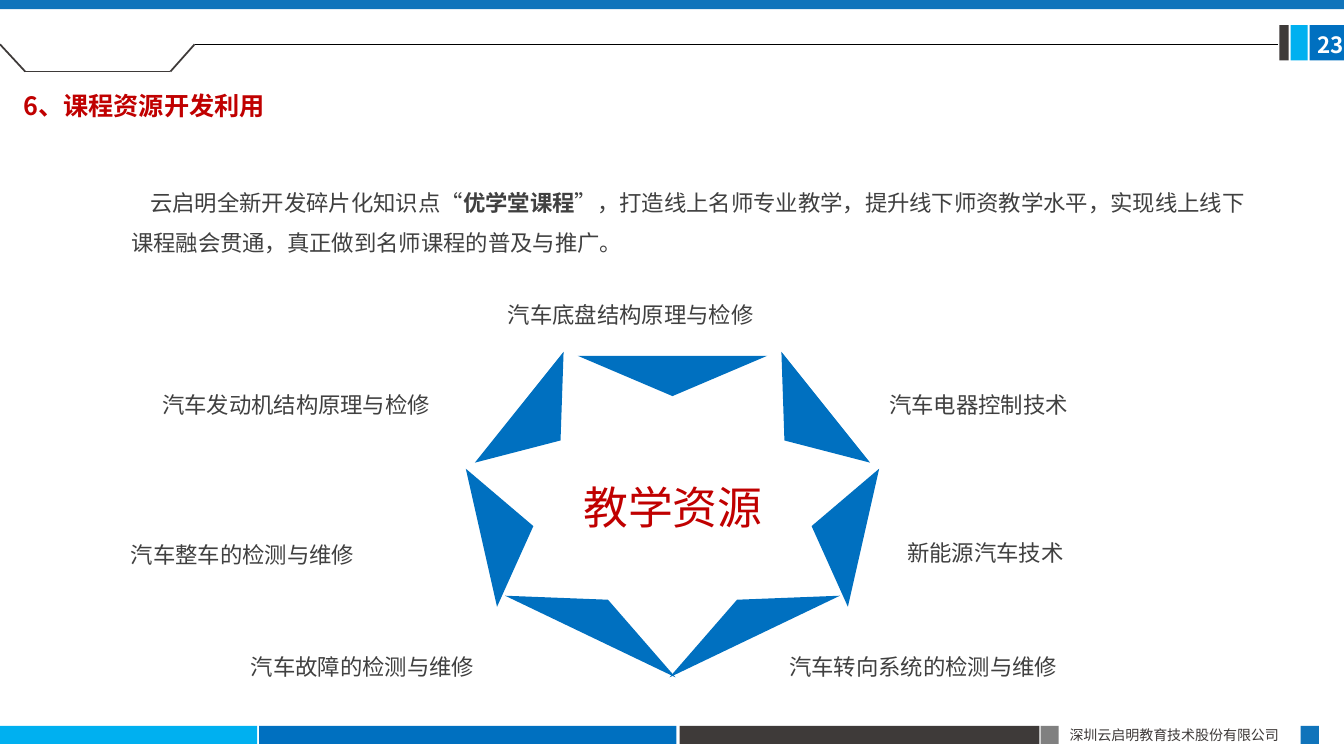
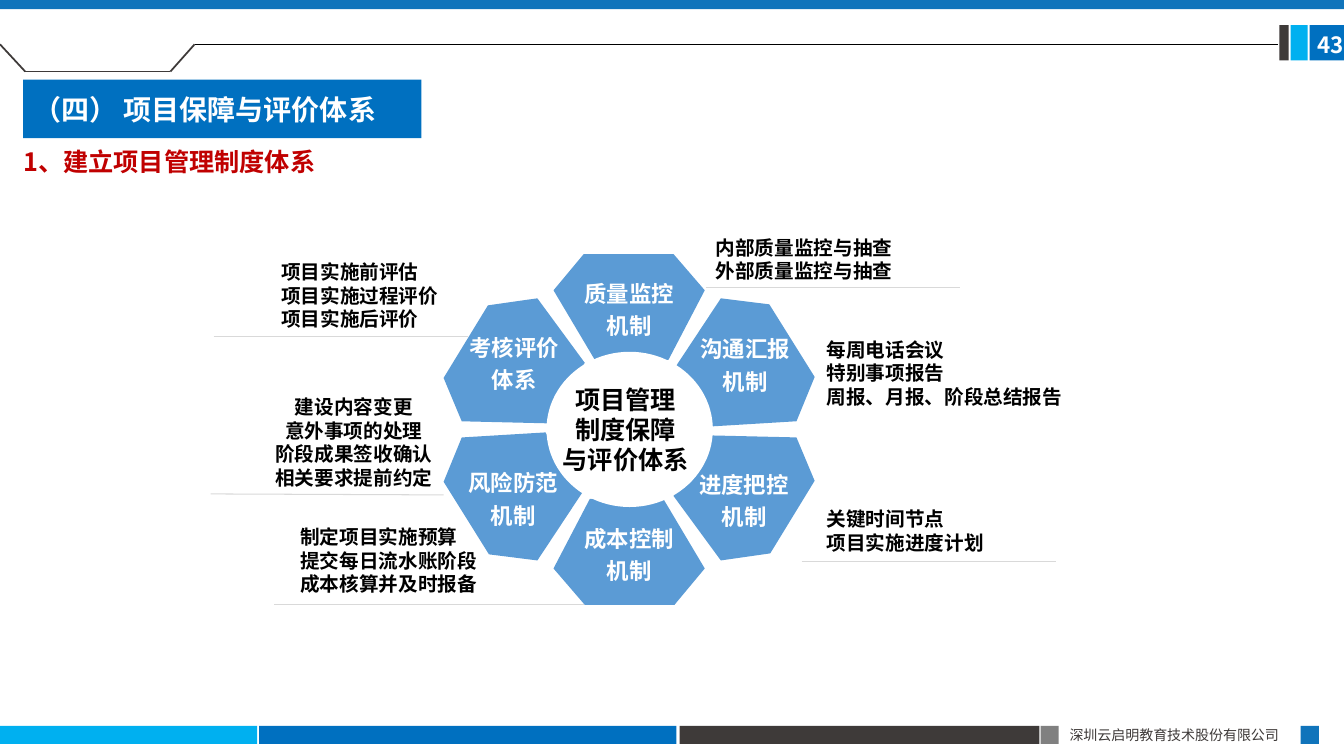
from dataclasses import dataclass
from itertools import pairwise

from lxml.etree import SubElement
from pptx import Presentation
from pptx.dml.color import RGBColor
from pptx.enum.shapes import MSO_CONNECTOR, MSO_SHAPE
from pptx.enum.text import MSO_ANCHOR, MSO_AUTO_SIZE, PP_ALIGN
from pptx.oxml.ns import qn
from pptx.presentation import Presentation as Deck
from pptx.shapes.autoshape import Shape
from pptx.slide import Slide
from pptx.text.text import TextFrame
from pptx.util import Inches, Pt

COLORS = {
    "cyan": "00B0F0", "blue": "0070C0", "band": "1074BB", "petal": "5B9BD5",
    "dark": "3E3A39", "gray": "808080", "rule": "D9D9D9", "text": "404040",
    "red": "C00000", "black": "000000", "white": "FFFFFF",
}
FONT = "Noto Sans CJK SC"
LEADING = 1.2  # height of a single line, in font sizes

Point = tuple[float, float]
Box = tuple[float, float, float, float]
Run = tuple[str, bool]  # text, bold


@dataclass(frozen=True)
class Style:
    size: float
    color: str
    bold: bool = False
    space: float = 1.0
    align: PP_ALIGN = PP_ALIGN.LEFT
    anchor: MSO_ANCHOR = MSO_ANCHOR.TOP
    font: str = FONT
    inset: Point = (0.1, 0.05)


@dataclass(frozen=True)
class Bar:
    box: Box
    color: str


@dataclass(frozen=True)
class Label:
    left: float
    top: float
    text: str


@dataclass(frozen=True)
class Petal:
    text: str
    points: list[Point]


@dataclass(frozen=True)
class Note:
    box: Box
    text: str
    align: PP_ALIGN = PP_ALIGN.LEFT


TITLE = Style(18, "red", True)
BODY = Style(16, "text", space=1.5)
LABEL = Style(16, "text", space=1.3)
FOOTER = Style(10, "dark")
PAGE = Style(16, "white", True, align=PP_ALIGN.RIGHT, inset=(0, 0.05))
HUB = Style(32, "red", align=PP_ALIGN.CENTER, anchor=MSO_ANCHOR.MIDDLE, inset=(0, 0))
BANNER = Style(20, "white", True, anchor=MSO_ANCHOR.MIDDLE, font="Calibri")
PETAL = Style(16, "white", True, space=1.2, align=PP_ALIGN.CENTER, anchor=MSO_ANCHOR.MIDDLE)
CORE = Style(18, "black", True, align=PP_ALIGN.CENTER)

# Frame shared by all slides
BARS = [
    Bar((0, 7.2, 2.55, 0.18), "cyan"),
    Bar((2.57, 7.2, 4.14, 0.18), "blue"),
    Bar((6.74, 7.2, 3.57, 0.18), "dark"),
    Bar((10.32, 7.2, 0.18, 0.18), "gray"),
    Bar((12.9, 7.2, 0.18, 0.18), "band"),
    Bar((12.99, 0.25, 0.34, 0.35), "blue"),
    Bar((12.8, 0.25, 0.17, 0.35), "cyan"),
    Bar((12.69, 0.25, 0.09, 0.35), "dark"),
    Bar((0, 0, 13.33, 0.09), "band"),
]
TAB = [(0, 0.44), (0.25, 0.71), (1.69, 0.71), (1.93, 0.44)]

# Ring of seven triangles: the top one, and the right half to be mirrored
TOP = [(5.73, 3.53), (7.61, 3.53), (6.67, 3.93)]
RIGHT = [
    [(7.75, 3.49), (8.63, 4.59), (7.78, 4.37)],
    [(8.72, 4.65), (8.41, 6.02), (8.05, 5.22)],
    [(8.33, 5.91), (6.64, 6.72), (7.31, 5.95)],
]
AXIS = 6.67
LABELS = [
    Label(4.94, 2.86, "汽车底盘结构原理与检修"),
    Label(8.72, 3.75, "汽车电器控制技术"),
    Label(8.9, 5.22, "新能源汽车技术"),
    Label(7.73, 6.35, "汽车转向系统的检测与维修"),
    Label(2.39, 6.35, "汽车故障的检测与维修"),
    Label(1.2, 5.24, "汽车整车的检测与维修"),
    Label(1.51, 3.75, "汽车发动机结构原理与检修"),
]

# Flower of six petals: three outlines, each used again after a half turn
CENTER = (6.24, 4.26)
NORTH = [(5.79, 2.52), (6.68, 2.52), (6.99, 2.88), (6.63, 3.57), (5.9, 3.57), (5.49, 2.88)]
EAST = [(7.15, 2.96), (7.63, 3.02), (8.08, 3.74), (7.9, 4.18), (7.07, 4.23), (6.7, 3.64)]
SOUTH = [(7.05, 4.32), (7.9, 4.34), (8.08, 4.77), (7.64, 5.49), (7.15, 5.56), (6.68, 4.92)]


def turn(points: list[Point]) -> list[Point]:
    return [(2 * CENTER[0] - x, 2 * CENTER[1] - y) for x, y in points]


PETALS = [
    Petal("质量监控\n机制", NORTH),
    Petal("沟通汇报\n机制", EAST),
    Petal("进度把控\n机制", SOUTH),
    Petal("成本控制\n机制", turn(NORTH)),
    Petal("风险防范\n机制", turn(EAST)),
    Petal("考核评价\n体系", turn(SOUTH)),
]
NOTES = [
    Note((7, 2.29, 2.2, 0.6), "内部质量监控与抽查\n外部质量监控与抽查"),
    Note((8.1, 3.3, 2.8, 0.8), "每周电话会议\n特别事项报告\n周报、月报、阶段总结报告"),
    Note((8.1, 4.98, 2, 0.6), "关键时间节点\n项目实施进度计划"),
    Note((2.51, 3.87, 2, 1.05),
         "建设内容变更\n意外事项的处理\n阶段成果签收确认\n相关要求提前约定", PP_ALIGN.CENTER),
    Note((2.88, 5.16, 2.1, 0.8), "制定项目实施预算\n提交每日流水账阶段\n成本核算并及时报备"),
    Note((2.69, 2.53, 2, 0.8), "项目实施前评估\n项目实施过程评价\n项目实施后评价"),
]
RULES = [
    ((7, 2.85), (9.52, 2.85)), ((7.95, 5.57), (10.47, 5.57)), ((2.09, 4.9), (4.4, 4.91)),
    ((2.72, 6), (5.79, 6)), ((2.12, 3.34), (4.64, 3.34)),
]


def tint(name: str) -> RGBColor:
    return RGBColor.from_string(COLORS[name])


def write(frame: TextFrame, lines: list[list[Run]], style: Style) -> None:
    frame.auto_size = MSO_AUTO_SIZE.NONE
    frame.word_wrap = True
    frame.vertical_anchor = style.anchor
    frame.margin_left = frame.margin_right = Inches(style.inset[0])
    frame.margin_top = frame.margin_bottom = Inches(style.inset[1])
    for index, line in enumerate(lines):
        para = frame.add_paragraph() if index else frame.paragraphs[0]
        para.alignment = style.align
        para.line_spacing = Pt(round(style.size * LEADING * style.space, 1))
        para.space_before = Pt(0)
        for text, bold in line:
            run = para.add_run()
            run.text = text
            run.font.size = Pt(style.size)
            run.font.bold = bold
            run.font.color.rgb = tint(style.color)
            run.font.name = style.font
            SubElement(run.font._element, qn("a:ea"), typeface=FONT)


def plain(text: str, style: Style) -> list[list[Run]]:
    return [[(line, style.bold)] for line in text.split("\n")]


def paint(shape: Shape, color: str) -> Shape:
    shape.shadow.inherit = False
    shape.fill.solid()
    shape.fill.fore_color.rgb = tint(color)
    shape.line.fill.background()
    return shape


def block(slide: Slide, box: Box, color: str, kind: MSO_SHAPE = MSO_SHAPE.RECTANGLE) -> Shape:
    return paint(slide.shapes.add_shape(kind, *map(Inches, box)), color)


def label(slide: Slide, box: Box, text: str, style: Style) -> None:
    shape = slide.shapes.add_textbox(*map(Inches, box))
    write(shape.text_frame, plain(text, style), style)


def outline(slide: Slide, points: list[Point], color: str) -> Shape:
    first, *rest = [(Inches(x), Inches(y)) for x, y in points]
    pen = slide.shapes.build_freeform(*first)
    pen.add_line_segments(rest, close=True)
    return paint(pen.convert_to_shape(), color)


def rule(slide: Slide, start: Point, end: Point, color: str, width: float) -> None:
    line = slide.shapes.add_connector(MSO_CONNECTOR.STRAIGHT, *map(Inches, start + end))
    line.line.color.rgb = tint(color)
    line.line.width = Pt(width)
    SubElement(line._element.spPr, qn("a:effectLst"))


def place(shape: Shape, box: Box) -> TextFrame:
    shape.left, shape.top, shape.width, shape.height = map(Inches, box)
    return shape.text_frame


def head(slide: Slide, top: float, title: str, page: str) -> None:
    frame = place(slide.shapes.title, (0.13, top, 4.28, 0.4))
    write(frame, plain(title, TITLE), TITLE)
    label(slide, (13, 0.26, 0.33, 0.37), page, PAGE)


def brand(deck: Deck, slide: Slide) -> None:
    """Draw the frame on an empty slide and move it to the master."""
    held = len(slide.shapes)
    for bar in BARS:
        block(slide, bar.box, bar.color)
    for start, end in pairwise(TAB):
        rule(slide, start, end, "dark", 1.25)
    rule(slide, TAB[-1], (12.68, 0.44), "black", 0.5)
    label(slide, (10.51, 7.16, 2.4, 0.27), "深圳云启明教育技术股份有限公司", FOOTER)
    for number, shape in enumerate(list(slide.shapes)[held:], 100):
        shape.element.xpath(".//p:cNvPr")[0].set("id", str(number))
        deck.slide_master.shapes.element.append(shape.element)


def course(slide: Slide) -> None:
    head(slide, 0.85, "6、课程资源开发利用", "23")

    # Introduction
    frame = place(slide.placeholders[1], (1.2, 1.69, 11.35, 0.91))
    write(frame, [[
        ("云启明全新开发碎片化知识点“", False),
        ("优学堂课程", True),
        ("”，打造线上名师专业教学，提升线下师资教学水平，实现线上线下"
         "课程融会贯通，真正做到名师课程的普及与推广。", False),
    ]], BODY)
    props = frame.paragraphs[0]._p.get_or_add_pPr()
    props.set("marL", "0")
    props.set("indent", str(Inches(0.19)))
    SubElement(props, qn("a:buNone"))

    # Ring and its labels
    left = [[(2 * AXIS - x, y) for x, y in points] for points in RIGHT]
    for points in [TOP, *RIGHT, *left]:
        outline(slide, points, "blue")
    label(slide, (5.62, 4.37, 2.11, 1.31), "教学资源", HUB)
    for item in LABELS:
        label(slide, (item.left, item.top, 3.2, 0.4), item.text, LABEL)


def project(slide: Slide) -> None:
    head(slide, 1.4, "1、建立项目管理制度体系", "43")
    banner = block(slide, (0.23, 0.79, 3.95, 0.58), "blue")
    write(banner.text_frame, plain("（四） 项目保障与评价体系", BANNER), BANNER)

    # Flower
    for petal in PETALS:
        shape = outline(slide, petal.points, "petal")
        write(shape.text_frame, plain(petal.text, PETAL), PETAL)
    block(slide, (5.42, 3.49, 1.65, 1.54), "white", MSO_SHAPE.OVAL)
    label(slide, (5.32, 3.76, 1.77, 1.01), "项目管理\n制度保障\n与评价体系", CORE)

    # Notes around it
    for start, end in RULES:
        rule(slide, start, end, "rule", 0.75)
    for note in NOTES:
        label(slide, note.box, note.text, Style(14, "black", True, align=note.align))


def main() -> None:
    deck = Presentation()
    deck.slide_width, deck.slide_height = Inches(13.33), Inches(7.5)
    first = deck.slides.add_slide(deck.slide_layouts[1])
    brand(deck, first)
    course(first)
    project(deck.slides.add_slide(deck.slide_layouts[5]))
    deck.save("out.pptx")


if __name__ == "__main__":
    main()
